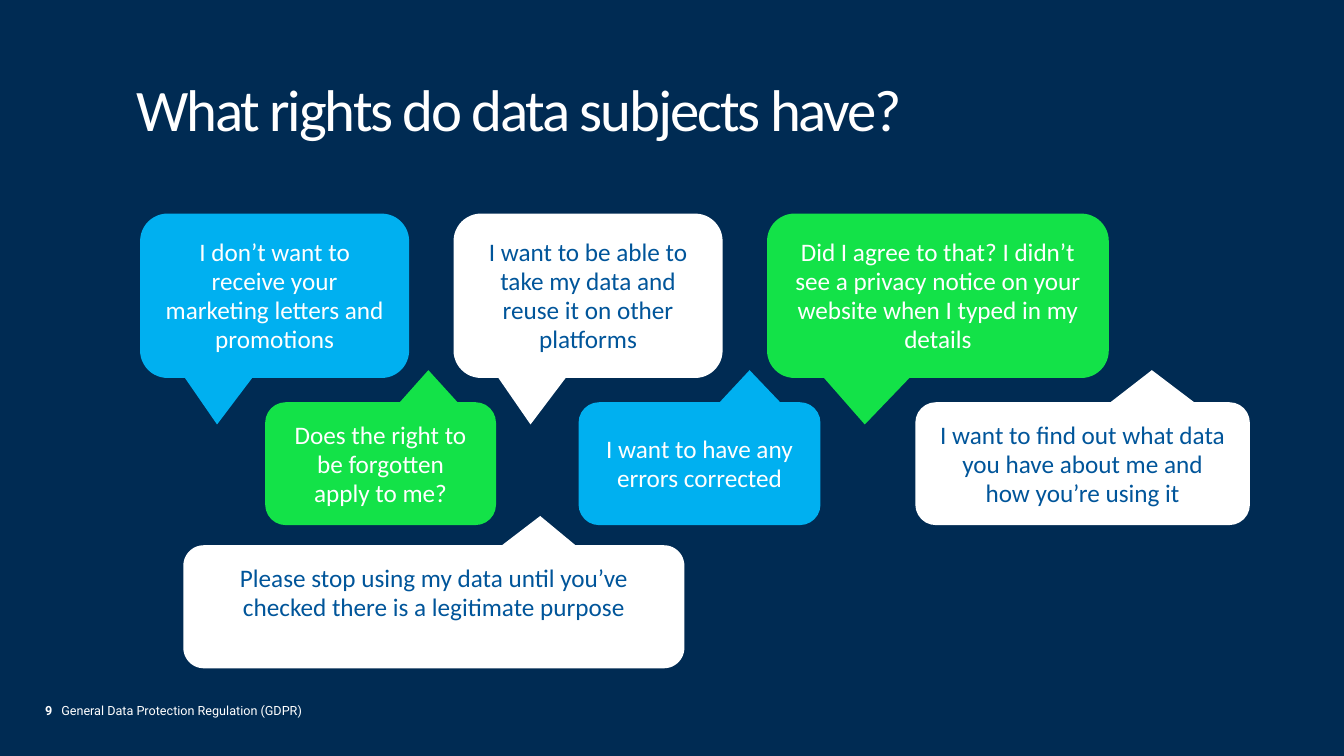
from math import cos, radians, sin

from lxml.etree import SubElement
from pptx import Presentation
from pptx.dml.color import RGBColor
from pptx.enum.shapes import MSO_SHAPE
from pptx.enum.text import MSO_ANCHOR, PP_ALIGN
from pptx.oxml.ns import qn
from pptx.util import Pt

NAVY = RGBColor(0x00, 0x2B, 0x53)
WHITE = RGBColor(0xFF, 0xFF, 0xFF)
SKY = RGBColor(0x00, 0xB0, 0xF0)
GREEN = RGBColor(0x13, 0xE2, 0x48)
BLUE = RGBColor(0x00, 0x55, 0x9A)

POINTING_DOWN = (-0.214, 0.783, 0.167)
POINTING_UP = (0.207, -0.761, 0.167)

UPPER_ROW = [
    (100.1, 192.2, SKY, "I don’t want to receive your marketing letters and promotions"),
    (324, 192.2, WHITE, "I want to be able to take my data and reuse it on other platforms"),
    (547.9, 244.1, GREEN, "Did I agree to that? I didn’t see a privacy notice on your "
                          "website when I typed in my details"),
]
LOWER_ROW = [
    (189.4, 164.9, GREEN, "Does the right to be forgotten apply to me?"),
    (413.3, 172.8, SKY, "I want to have any errors corrected"),
    (653.8, 239, WHITE, "I want to find out what data you have about me and how "
                        "you’re using it"),
]


class SpeechSlide:
    """Holds the type style and the slide that the speech bubbles are placed on."""

    font_name = "Calibri"
    bubble_size = 18
    bubble_leading = 20.8
    bubble_inset = Pt(11.5)

    def __init__(self, deck):
        self.slide = deck.slides.add_slide(deck.slide_layouts[5])
        self.slide.background.fill.solid()
        self.slide.background.fill.fore_color.rgb = NAVY

    def style(self, paragraph, size, color, name=font_name):
        paragraph.font.name = name
        paragraph.font.size = Pt(size)
        paragraph.font.color.rgb = color

    def title(self, wording, left, top, width, height):
        heading = self.slide.shapes.title
        heading.left, heading.top = Pt(left), Pt(top)
        heading.width, heading.height = Pt(width), Pt(height)
        frame = heading.text_frame
        frame.text = wording
        frame.vertical_anchor = MSO_ANCHOR.TOP
        paragraph = frame.paragraphs[0]
        paragraph.alignment = PP_ALIGN.LEFT
        paragraph.line_spacing = Pt(50)
        self.style(paragraph, 42, WHITE)
        paragraph.runs[0]._r.get_or_add_rPr().set("spc", "-150")

    def footer(self, number, wording, left, top, width, height):
        box = self.slide.shapes.add_textbox(Pt(left), Pt(top), Pt(width), Pt(height))
        box.text_frame.word_wrap = True
        paragraph = box.text_frame.paragraphs[0]
        tabs = SubElement(paragraph._p.get_or_add_pPr(), qn("a:tabLst"))
        SubElement(tabs, qn("a:tab"), pos=str(Pt(11.5)), algn="l")
        self.style(paragraph, 9, WHITE, "Roboto")
        for part, bold in ((number, True), ("\t" + wording, False)):
            run = paragraph.add_run()
            run.text = part
            run.font.bold = bold

    def fill_bubble(self, bubble, fill, wording):
        bubble.shadow.inherit = False
        bubble.fill.solid()
        bubble.fill.fore_color.rgb = fill
        bubble.line.fill.background()
        frame = bubble.text_frame
        frame.word_wrap = True
        frame.vertical_anchor = MSO_ANCHOR.MIDDLE
        frame.margin_left = frame.margin_right = self.bubble_inset
        frame.margin_top = frame.margin_bottom = self.bubble_inset
        frame.text = wording
        paragraph = frame.paragraphs[0]
        paragraph.alignment = PP_ALIGN.CENTER
        paragraph.line_spacing = Pt(self.bubble_leading)
        self.style(paragraph, self.bubble_size, BLUE if fill == WHITE else WHITE)

    def bubble_row(self, bubbles, top, height, pointer):
        for left, width, fill, wording in bubbles:
            bubble = self.slide.shapes.add_shape(
                MSO_SHAPE.ROUNDED_RECTANGULAR_CALLOUT,
                Pt(left), Pt(top), Pt(width), Pt(height))
            for index, value in enumerate(pointer):
                bubble.adjustments[index] = value
            self.fill_bubble(bubble, fill, wording)

    def wide_bubble(self, left, top, right, bottom, radius, pointer, fill, wording):
        corners = [
            (right - radius, top + radius, 270),
            (right - radius, bottom - radius, 0),
            (left + radius, bottom - radius, 90),
            (left + radius, top + radius, 180),
        ]
        outline = pointer + [
            (x + radius * cos(radians(start + turn)), y + radius * sin(radians(start + turn)))
            for x, y, start in corners for turn in range(0, 91, 6)]
        points = [(Pt(x), Pt(y)) for x, y in outline]
        builder = self.slide.shapes.build_freeform(*points[0])
        builder.add_line_segments(points[1:], close=True)
        self.fill_bubble(builder.convert_to_shape(), fill, wording)


def main():
    deck = Presentation()
    deck.slide_width, deck.slide_height = Pt(960), Pt(540)
    rights = SpeechSlide(deck)
    rights.footer("9", "General Data Protection Regulation (GDPR)", 25.2, 498.2, 421.2, 18)
    rights.title("What rights do data subjects have?", 90, 49, 702, 57.6)
    rights.bubble_row(UPPER_ROW, 152.6, 117.4, POINTING_DOWN)
    rights.bubble_row(LOWER_ROW, 287.3, 87.8, POINTING_UP)
    rights.wide_bubble(
        131, 389.5, 488.9, 477.4, 14.6,
        [(358.6, 389.5), (385.9, 368.6), (411.1, 389.5)], WHITE,
        "Please stop using my data until you’ve checked there is a legitimate purpose")
    deck.save("out.pptx")


if __name__ == "__main__":
    main()
